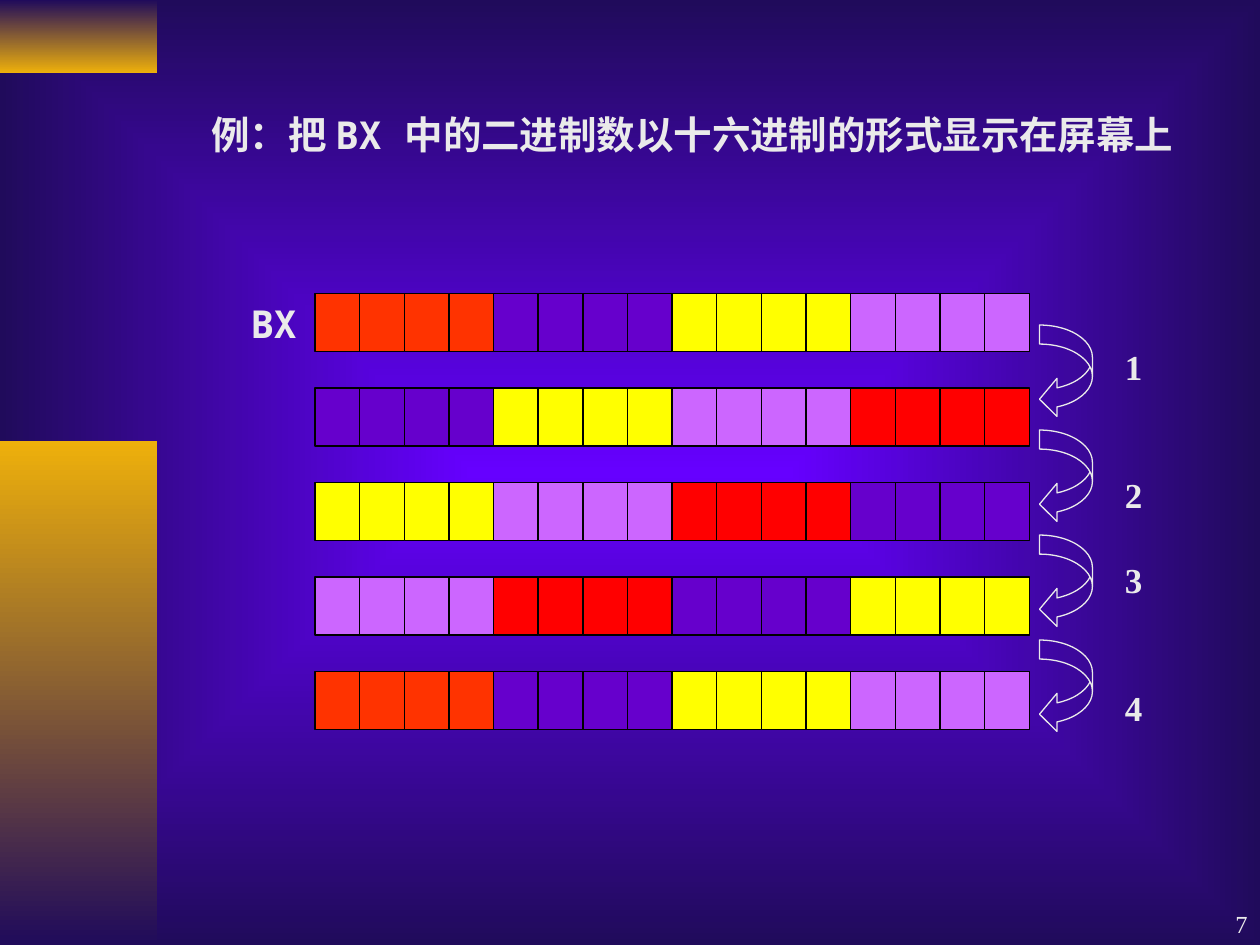
"""Build the slide on showing BX in hexadecimal by four rotations."""
import pptx
import pptx.dml.color
import pptx.enum.shapes
import pptx.enum.text
import pptx.oxml
import pptx.oxml.ns
import pptx.util

Inches = pptx.util.Inches
Pt = pptx.util.Pt
RGBColor = pptx.dml.color.RGBColor
ShapeType = pptx.enum.shapes.MSO_SHAPE
Align = pptx.enum.text.PP_ALIGN
Anchor = pptx.enum.text.MSO_ANCHOR

THEME = {
    "text": "EAEAEA", "night": "200B5B", "glow": "6600FF", "gold": "EEB00B",
    "border": "000000", "orange": "FF3300", "red": "FF0000",
    "purple": "6600CC", "yellow": "FFFF00", "lilac": "CC66FF",
    "serif": "Times New Roman", "mono": "Noto Sans Mono",
    "title_size": 22, "step_size": 20, "number_size": 14,
}


def set_gradient(fill, colors, angle=270):
    fill.gradient()
    fill.gradient_angle = angle
    for stop, color in zip(fill.gradient_stops, colors):
        stop.color.rgb = RGBColor.from_string(THEME[color])


def add_text(slide, box, paragraphs, size, frame_format, align=Align.JUSTIFY, bold=True):
    shape = slide.shapes.add_textbox(*[Inches(value) for value in box])
    frame = shape.text_frame
    for name, value in {"word_wrap": True, **frame_format}.items():
        setattr(frame, name, value)
    for index, (runs, space) in enumerate(paragraphs):
        paragraph = frame.add_paragraph() if index else frame.paragraphs[0]
        for name, value in {"alignment": align, "space_before": Pt(space)}.items():
            setattr(paragraph, name, value)
        for text, font in runs:
            run = paragraph.add_run()
            run.text = text
            for name, value in {"name": THEME[font], "size": Pt(THEME[size]), "bold": bold}.items():
                setattr(run.font, name, value)
            run.font.color.rgb = RGBColor.from_string(THEME["text"])


presentation = pptx.Presentation()
presentation.slide_width = Inches(10)
presentation.slide_height = Inches(7.5)
slide = presentation.slides.add_slide(presentation.slide_layouts[6])

set_gradient(slide.background.fill, ("glow", "night"))
linear = slide.element.find(".//" + pptx.oxml.ns.qn("a:lin"))
linear.getparent().replace(linear, pptx.oxml.parse_xml(
    f'<a:path {pptx.oxml.ns.nsdecls("a")} path="rect">'
    '<a:fillToRect l="50000" t="50000" r="50000" b="50000"/></a:path>'))

for top, height, colors in ((0, 0.58, ("night", "gold")), (3.5, 4, ("gold", "night"))):
    shape = slide.shapes.add_shape(
        ShapeType.RECTANGLE, Inches(0), Inches(top), Inches(1.25), Inches(height))
    shape.shadow.inherit = False
    set_gradient(shape.fill, colors)
    shape.line.fill.background()

nibbles = ["orange", "purple", "yellow", "lilac"]
row_top, row_pitch, cell_width = 2.33, 0.75, 5.67 / 16
for row in range(5):
    for bit in range(16):
        color = nibbles[(bit // 4 + row) % 4]
        if color == "orange" and row % 4:
            color = "red"
        shape = slide.shapes.add_shape(
            ShapeType.RECTANGLE, Inches(2.5 + bit * cell_width),
            Inches(row_top + row * row_pitch), Inches(cell_width), Inches(0.46))
        shape.shadow.inherit = False
        shape.fill.solid()
        shape.fill.fore_color.rgb = RGBColor.from_string(THEME[color])
        shape.line.color.rgb = RGBColor.from_string(THEME["border"])
        shape.line.width = Pt(0.75)

add_text(slide, (1.58, 2.33, 1.17, 0.67), [([("BX", "mono")], 0)], "title_size",
         {"margin_left": Inches(0.41)})

for step in range(4):
    shape = slide.shapes.add_shape(
        ShapeType.CURVED_LEFT_ARROW, Inches(8.25), Inches(2.58 + step * 2.5 / 3),
        Inches(0.42), Inches(0.74))
    shape.shadow.inherit = False
    for index, value in enumerate((0.36, 0.72, 0.33)):
        shape.adjustments[index] = value
    shape.fill.background()
    shape.line.color.rgb = RGBColor.from_string(THEME["text"])
    shape.line.width = Pt(0.75)

steps = [([(str(number), "serif")], space) for number, space in enumerate((0, 49, 25, 49), 1)]
add_text(slide, (8.83, 2.67, 0.75, 3.1), steps, "step_size", {"margin_top": Inches(0.07)})

title = [("例：把 ", "serif"), ("BX ", "mono"),
         ("中的二进制数以十六进制的形式显示在屏幕上", "serif")]
add_text(slide, (1.58, 0.83, 7.92, 0.84), [(title, 0)], "title_size", {})

add_text(slide, (7.92, 7, 2.08, 0.5), [([("7", "serif")], 0)], "number_size",
         {"vertical_anchor": Anchor.BOTTOM}, Align.RIGHT, False)

presentation.save("out.pptx")
